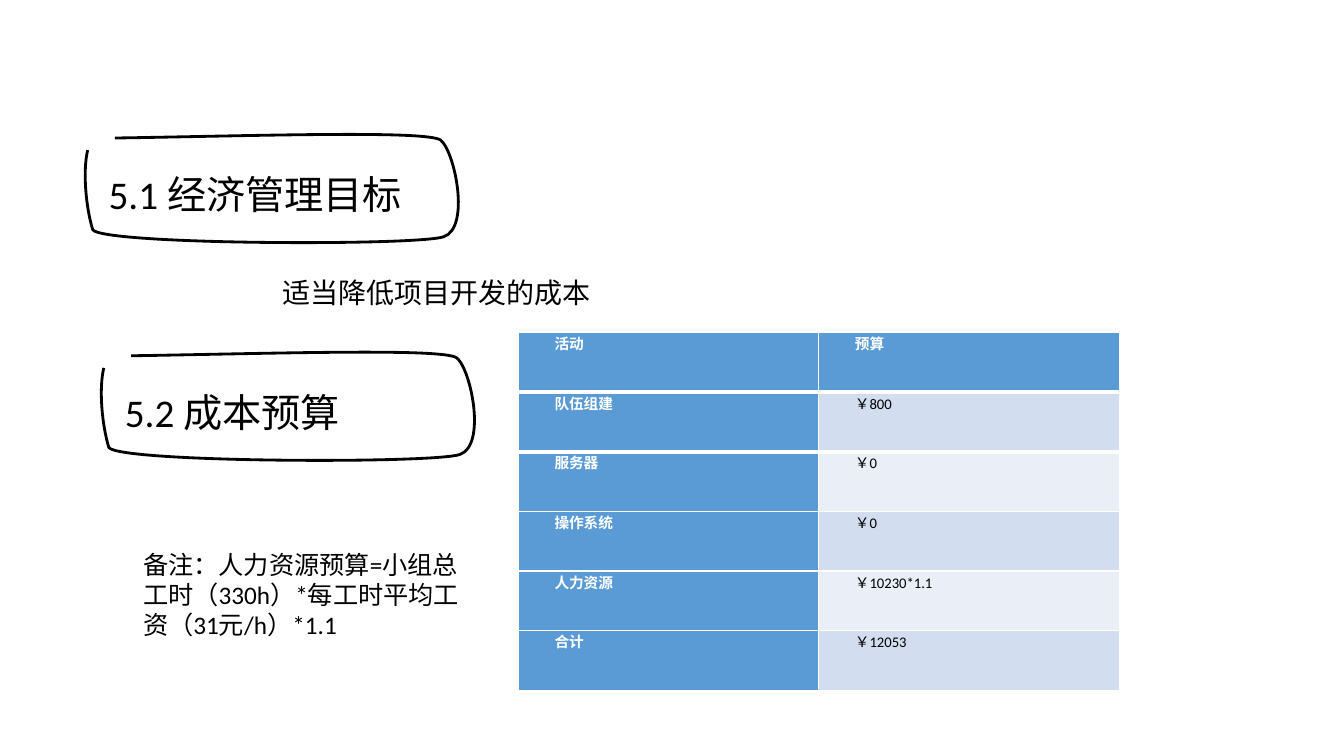
from dataclasses import dataclass

from lxml.etree import SubElement
from pptx import Presentation
from pptx.dml.color import RGBColor
from pptx.enum.text import MSO_AUTO_SIZE, PP_ALIGN
from pptx.oxml import parse_xml
from pptx.oxml.ns import nsdecls, qn
from pptx.util import Inches, Pt


@dataclass(frozen=True)
class Theme:
    font: str = "Calibri"
    ink: RGBColor = RGBColor(0, 0, 0)
    paper: RGBColor = RGBColor(255, 255, 255)
    accent: RGBColor = RGBColor(0x5B, 0x9B, 0xD5)
    band_dark: RGBColor = RGBColor(0xD2, 0xDE, 0xEF)
    band_light: RGBColor = RGBColor(0xEA, 0xEF, 0xF7)
    heading: float = 28
    body: float = 20
    note: float = 18
    cell: float = 10.5


THEME = Theme()


def format_span(span, size, color, bold=False):
    span.font.name = THEME.font
    span.font.size = Pt(size)
    span.font.bold = bold
    span.font.color.rgb = color


def add_text(page, text, left, top, width, height, size):
    box = page.shapes.add_textbox(Inches(left), Inches(top), Inches(width), Inches(height))
    frame = box.text_frame
    frame.word_wrap = True
    frame.auto_size = MSO_AUTO_SIZE.SHAPE_TO_FIT_TEXT
    frame.text = text
    format_span(frame.paragraphs[0].runs[0], size, THEME.ink)


deck = Presentation()
deck.slide_width = Inches(13.33)
deck.slide_height = Inches(7.5)
page = deck.slides.add_slide(deck.slide_layouts[6])

FRAME_WIDTH, FRAME_HEIGHT = Inches(3.7), Inches(1.07)
FRAME_START = (0.3, 0.04)
FRAME_CURVES = [
    ((1.61, 0.02), (3.39, -0.04), (3.53, 0.06)),
    ((3.67, 0.17), (3.83, 0.93), (3.56, 1.02)),
    ((3.28, 1.11), (0.19, 1.1), (0.08, 0.95)),
    ((0.01, 0.72), (-0.02, 0.36), (0.03, 0.16)),
]

headings = [
    ("5.1 经济管理目标", 0.84, 1.33, 1.04),
    ("5.2 成本预算", 1.0, 3.49, 0.57),
]
for text, left, top, height in headings:
    corners = [FRAME_START] + [curve[-1] for curve in FRAME_CURVES]
    points = [(Inches(left + x), Inches(top + y)) for x, y in corners]
    builder = page.shapes.build_freeform(*points[0])
    builder.add_line_segments(points[1:], close=False)
    outline = builder.convert_to_shape()
    outline.left, outline.top = Inches(left), Inches(top)
    outline.width, outline.height = FRAME_WIDTH, FRAME_HEIGHT
    route = outline._element.find(".//" + qn("a:path"))
    route.set("w", str(FRAME_WIDTH))
    route.set("h", str(FRAME_HEIGHT))
    for child in list(route):
        route.remove(child)
    strokes = [("a:moveTo", [FRAME_START])] + [("a:cubicBezTo", curve) for curve in FRAME_CURVES]
    for tag, stops in strokes:
        stroke = SubElement(route, qn(tag))
        for x, y in stops:
            SubElement(stroke, qn("a:pt"), x=str(Inches(x)), y=str(Inches(y)))
    outline.shadow.inherit = False
    outline.fill.solid()
    outline.fill.fore_color.rgb = THEME.paper
    outline.line.color.rgb = THEME.ink
    outline.line.width = Pt(2)
    add_text(page, text, left + 0.14, top + 0.31, 4.84, height, THEME.heading)

add_text(page, "适当降低项目开发的成本", 2.7, 2.68, 5.46, 0.74, THEME.body)

budget = [
    ("活动", "预算"),
    ("队伍组建", "￥800"),
    ("服务器", "￥0"),
    ("操作系统", "￥0"),
    ("人力资源", "￥10230*1.1"),
    ("合计", "￥12053"),
]
table = page.shapes.add_table(
    len(budget), 2, Inches(5.14), Inches(3.3), Inches(5.96), Inches(3.55)
).table
table.first_col = True

for row, entries in enumerate(budget):
    for column, text in enumerate(entries):
        is_header = row == 0 or column == 0
        band = THEME.band_dark if row % 2 else THEME.band_light
        cell = table.cell(row, column)
        cell.fill.solid()
        cell.fill.fore_color.rgb = THEME.accent if is_header else band
        cell.margin_left = cell.margin_right = Inches(0.07)
        cell.margin_top = cell.margin_bottom = 0
        if row < 2:
            edge = "lnT" if row else "lnB"
            cell._tc.get_or_add_tcPr().insert(0, parse_xml(
                f'<a:{edge} {nsdecls("a")} w="{Pt(3)}"><a:solidFill>'
                f'<a:srgbClr val="{THEME.paper}"/></a:solidFill></a:{edge}>'
            ))
        para = cell.text_frame.paragraphs[0]
        para.text = text
        para.alignment = PP_ALIGN.JUSTIFY
        para._p.get_or_add_pPr().set("indent", str(Inches(0.29)))
        color = THEME.paper if is_header else THEME.ink
        format_span(para.runs[0], THEME.cell, color, is_header)

add_text(
    page, "备注：人力资源预算=小组总工时（330h）*每工时平均工资（31元/h）*1.1",
    1.32, 5.4, 3.55, 1.01, THEME.note,
)

deck.save("out.pptx")
